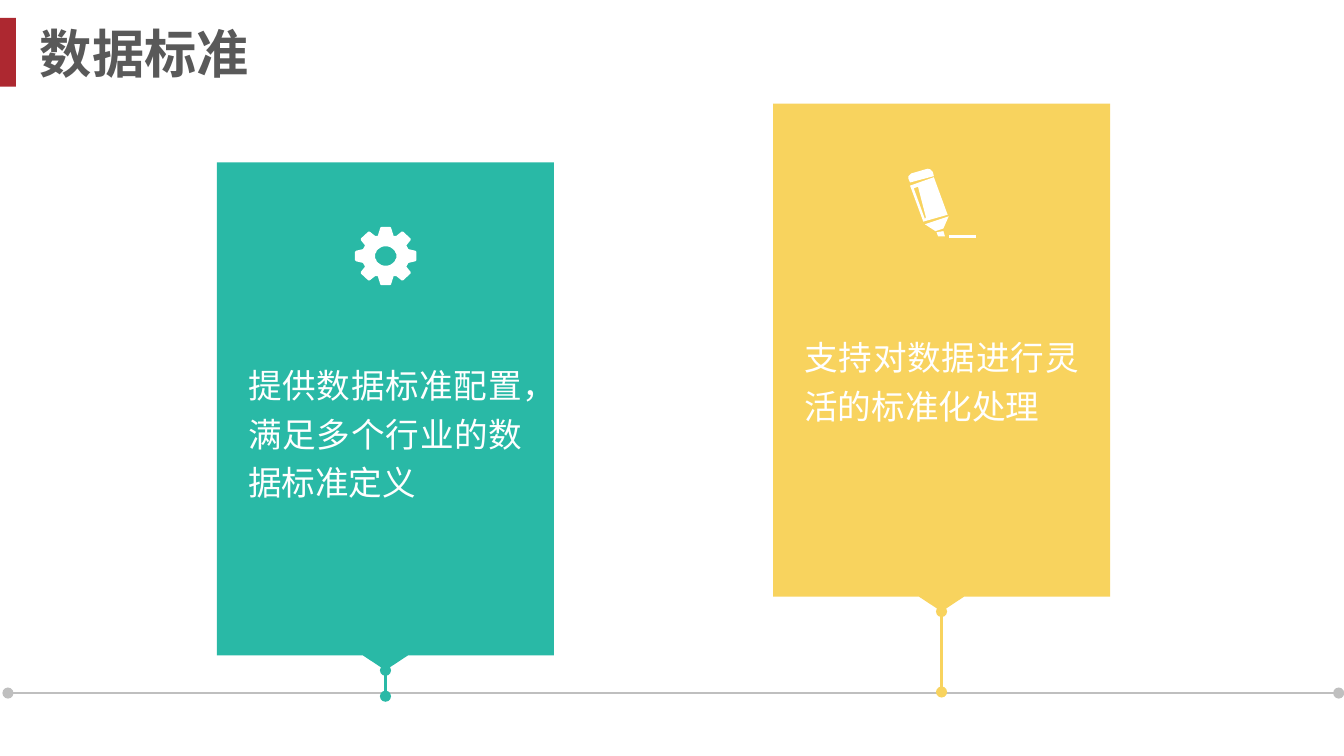
import math
from dataclasses import dataclass

import pptx
import pptx.dml.color
import pptx.enum.shapes
import pptx.enum.text
import pptx.oxml
import pptx.oxml.ns
import pptx.util
from pptx.util import Cm

RGBColor = pptx.dml.color.RGBColor
MSO_SHAPE = pptx.enum.shapes.MSO_SHAPE
PP_ALIGN = pptx.enum.text.PP_ALIGN
MSO_ANCHOR = pptx.enum.text.MSO_ANCHOR
MSO_AUTO_SIZE = pptx.enum.text.MSO_AUTO_SIZE
qn = pptx.oxml.ns.qn

RED = RGBColor(0xAD, 0x28, 0x30)
TEAL = RGBColor(0x29, 0xB9, 0xA6)
YELLOW = RGBColor(0xF8, 0xD3, 0x5E)
GREY = RGBColor(0xBF, 0xBF, 0xBF)
DARK = RGBColor(0x59, 0x59, 0x59)
WHITE = RGBColor(0xFF, 0xFF, 0xFF)
FONT = "Noto Sans CJK SC"

Points = list[tuple[int, int]]


@dataclass
class Card:
    """A callout with its text and its stem; lengths in cm."""
    left: float
    top: float
    color: RGBColor
    text: str
    text_top: float
    text_height: float
    stem_end: float
    width: float = 6.37
    height: float = 9.6

    @property
    def center(self) -> float:
        return self.left + self.width / 2


CARDS = [
    Card(4.1, 3.07, TEAL, "提供数据标准配置，满足多个行业的数据标准定义", 6.63, 3.02, 13.16),
    Card(14.61, 1.96, YELLOW, "支持对数据进行灵活的标准化处理", 6.1, 2.11, 13.08),
]

# Icon outlines in hundredths of a cm
GEAR_CENTER = (729, 484)
GEAR_QUARTER = [(8, -55), (10, -54), (15, -38), (20, -38), (30, -46), (33, -46),
                (47, -33), (47, -30), (39, -20), (43, -13), (56, -10), (58, -8)]
GEAR_HOLE = (20, 18)
PEN_PARTS = [
    # drawn stroke
    [[(1793, 445), (1844, 445), (1844, 450), (1793, 450)]],
    # tip
    [[(1793, 409), (1783, 432), (1768, 437), (1748, 424)]],
    # barrel with slot
    [[(1765, 335), (1791, 406), (1745, 419), (1720, 351)],
     [(1750, 411), (1735, 353), (1727, 356), (1748, 414)]],
    # nib
    [[(1783, 437), (1786, 447), (1773, 447), (1770, 439)]],
    # cap
    [[(1765, 333), (1720, 345), (1717, 338), (1717, 333), (1722, 328),
      (1753, 319), (1758, 320), (1763, 325)]],
]


def paint(sp, color: RGBColor) -> None:
    sp.shadow.inherit = False
    sp.fill.solid()
    sp.fill.fore_color.rgb = color
    sp.line.fill.background()


def format_text(tf, size: float, color: RGBColor, align, bold: bool = False) -> None:
    p = tf.paragraphs[0]
    p.alignment = align
    for r in p.runs:
        r.font.name = FONT
        r.font.size = pptx.util.Pt(size)
        r.font.bold = bold
        r.font.color.rgb = color
        rPr = r.font._element
        rPr.set("lang", "zh-CN")
        ea = pptx.oxml.parse_xml(
            '<a:ea xmlns:a="http://schemas.openxmlformats.org/drawingml/2006/main" '
            f'typeface="{FONT}"/>')
        rPr.find(qn("a:latin")).addnext(ea)


def add_dotted_line(shapes, x1: float, y1: float, x2: float, y2: float,
                    color: RGBColor) -> None:
    """A line with a dot at both ends."""
    line = shapes.add_connector(pptx.enum.shapes.MSO_CONNECTOR.STRAIGHT,
                                Cm(x1), Cm(y1), Cm(x2), Cm(y2))
    line.line.color.rgb = color
    line.line.width = pptx.util.Pt(1.5)
    ln = line.line._get_or_add_ln()
    for tag in ("a:headEnd", "a:tailEnd"):
        ln.append(ln.makeelement(qn(tag), {"type": "oval"}))
    spPr = line._element.spPr
    spPr.append(spPr.makeelement(qn("a:effectLst"), {}))


def add_outline(shapes, contours: list[Points], color: RGBColor) -> None:
    first, *others = contours
    builder = shapes.build_freeform(*first[0], scale=Cm(0.01))
    builder.add_line_segments(first[1:], close=True)
    for contour in others:
        builder.move_to(*contour[0])
        builder.add_line_segments(contour[1:], close=True)
    paint(builder.convert_to_shape(), color)


def gear_contours() -> list[Points]:
    """Mirror the quarter outline, then add the hole."""
    cx, cy = GEAR_CENTER
    right = GEAR_QUARTER + [(x, -y) for x, y in reversed(GEAR_QUARTER)]
    rim = right + [(-x, y) for x, y in reversed(right)]
    rx, ry = GEAR_HOLE
    angles = [-math.tau * i / 32 for i in range(32)]
    hole = [(round(rx * math.cos(a)), round(ry * math.sin(a))) for a in angles]
    return [[(cx + x, cy + y) for x, y in contour] for contour in (rim, hole)]


def add_callout(shapes, card: Card) -> None:
    sp = shapes.add_shape(MSO_SHAPE.DOWN_ARROW_CALLOUT, Cm(card.left), Cm(card.top),
                          Cm(card.width), Cm(card.height))
    for i, value in enumerate((0.25, 0.067, 0.044, 0.975)):
        sp.adjustments[i] = value
    paint(sp, card.color)


def add_card_text(shapes, card: Card) -> None:
    box = shapes.add_textbox(Cm(card.left + 0.34), Cm(card.text_top),
                             Cm(5.69), Cm(card.text_height))
    tf = box.text_frame
    tf.word_wrap = True
    tf.auto_size = MSO_AUTO_SIZE.SHAPE_TO_FIT_TEXT
    tf.text = card.text
    tf.paragraphs[0].line_spacing = 1.2
    format_text(tf, 18, WHITE, PP_ALIGN.JUSTIFY)


def main() -> None:
    prs = pptx.Presentation()
    prs.slide_width, prs.slide_height = Cm(25.4), Cm(14.29)
    s = prs.slides.add_slide(prs.slide_layouts[5])
    shapes = s.shapes

    # Title with red marker
    marker = shapes.add_shape(MSO_SHAPE.RECTANGLE, 0, Cm(0.34), Cm(0.3), Cm(1.3))
    paint(marker, RED)
    title = shapes.title
    title.left, title.top, title.width, title.height = Cm(0.5), Cm(0.35), Cm(21), Cm(1.3)
    tf = title.text_frame
    tf.text = "数据标准"
    tf.auto_size = MSO_AUTO_SIZE.NONE
    tf.vertical_anchor = MSO_ANCHOR.MIDDLE
    format_text(tf, 28, DARK, PP_ALIGN.LEFT, bold=True)

    # Cards
    for card in CARDS:
        add_callout(shapes, card)
        add_card_text(shapes, card)

    # Timeline and stems
    add_dotted_line(shapes, 0.15, 13.1, 25.3, 13.1, GREY)
    for card in CARDS:
        add_dotted_line(shapes, card.center, card.top + card.height,
                        card.center, card.stem_end, card.color)

    # Icons
    for contours in [gear_contours(), *PEN_PARTS]:
        add_outline(shapes, contours, WHITE)

    prs.save("out.pptx")


if __name__ == "__main__":
    main()
